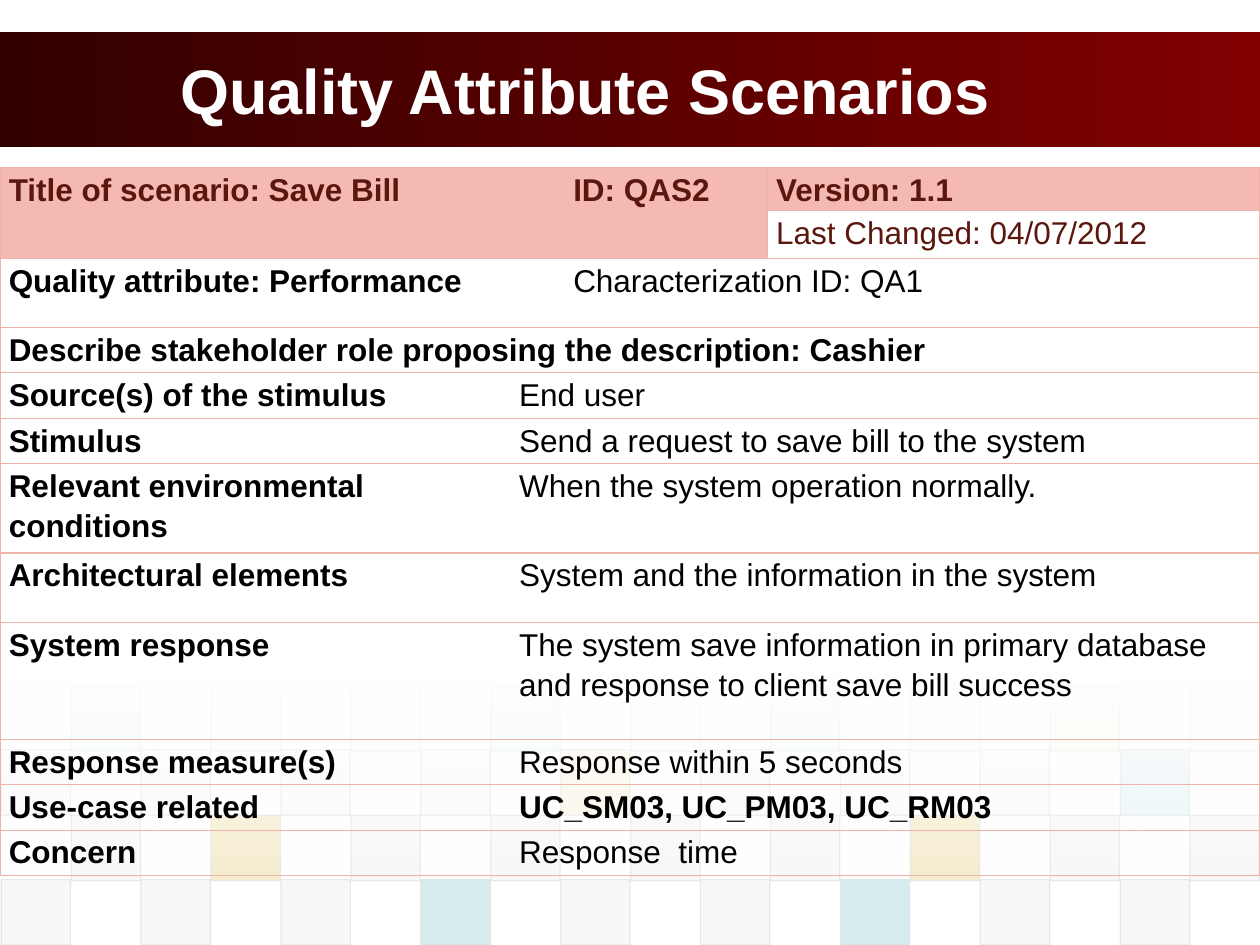
import pptx
import pptx.dml.color
import pptx.enum.shapes
import pptx.enum.text
import pptx.oxml
import pptx.oxml.ns
import pptx.util
from pptx.util import Inches

GREY, PALE, GOLD, TEAL = "DDDDDD", "EAEAEA", "D3A911", "38A3B2"
BORDER, HEADER_FILL, HEADER_TEXT = "EFB3AA", "F4B9B2", "5B170E"


def rgb(code):
    return pptx.dml.color.RGBColor.from_string(code)


def set_alpha(parent, percents):
    """Give each colour below parent its opacity, in order."""
    for colour, percent in zip(parent.iter(pptx.oxml.ns.qn("a:srgbClr")), percents):
        alpha = colour.makeelement(pptx.oxml.ns.qn("a:alpha"), {"val": str(percent * 1000)})
        colour.append(alpha)


deck = pptx.Presentation()
deck.slide_width, deck.slide_height = Inches(10), Inches(7.5)
page = deck.slides.add_slide(deck.slide_layouts[5])
RECTANGLE = pptx.enum.shapes.MSO_SHAPE.RECTANGLE

# Checkered tiles: top, first column, opacity, base colour, accents by column
tile_rows = [
    (5.44, 1, 5, PALE, {1: TEAL, 7: TEAL, 9: GREY, 11: TEAL, 15: GOLD}),
    (5.95, 0, 10, GREY, {8: GOLD, 16: TEAL}),
    (6.47, 1, 20, GREY, {3: GOLD, 13: GOLD}),
    (6.98, 0, 20, GREY, {6: TEAL, 12: TEAL}),
]
for top, first, opacity, base, accents in tile_rows:
    for column in range(first, 18, 2):
        tile = page.shapes.add_shape(RECTANGLE, Inches(0.01 + 0.555 * column), Inches(top),
                                     Inches(0.55), Inches(0.52))
        tile.shadow.inherit = False
        tile.fill.solid()
        tile.fill.fore_color.rgb = rgb(accents.get(column, base))
        tile.line.color.rgb = rgb(GREY)
        tile.line.width = pptx.util.Pt(0.75)
        set_alpha(tile._element.spPr, [opacity, 60])

# Banner, and the white veil that fades the upper tiles
gradients = [
    (0.25, 0.92, 0, ["330000", "800000"], [100, 100]),
    (5.37, 1.62, 270, ["FFFFFF", "FFFFFF"], [90, 0]),
]
for top, height, angle, colours, opacities in gradients:
    band = page.shapes.add_shape(RECTANGLE, 0, Inches(top), Inches(10), Inches(height))
    band.shadow.inherit = False
    band.line.fill.background()
    band.fill.gradient()
    band.fill.gradient_angle = angle
    for stop, position, colour in zip(band.fill.gradient_stops, (0, 1), colours):
        stop.position = position
        stop.color.rgb = rgb(colour)
    set_alpha(band._element.spPr, opacities)

title = page.shapes.title
page.shapes._spTree.append(title._element)  # bring in front of the banner
title.left, title.top = Inches(1.33), Inches(0.25)
title.width, title.height = Inches(8.08), Inches(0.92)
title.text_frame.vertical_anchor = pptx.enum.text.MSO_ANCHOR.MIDDLE
para = title.text_frame.paragraphs[0]
para.alignment = pptx.enum.text.PP_ALIGN.LEFT
span = para.add_run()
span.text = "Quality Attribute Scenarios"
span.font.name, span.font.size, span.font.bold = "Arial", pptx.util.Pt(36), True
span.font.color.rgb = rgb("FFFFFF")

# Scenario table
widths = [4.05, 0.43, 1.61, 3.91]
heights = [0.34, 0.38, 0.55, 0.36, 0.36, 0.36, 0.71, 0.55, 0.93, 0.36, 0.36, 0.36]
table = page.shapes.add_table(len(heights), len(widths), 0, Inches(1.33),
                              Inches(10), Inches(sum(heights))).table
table.first_row = table.horz_banding = False
for column, width in zip(table.columns, widths):
    column.width = Inches(width)
for row, height in zip(table.rows, heights):
    row.height = Inches(height)

# row, column, rows spanned, columns spanned, text, bold
cells = [
    (0, 0, 2, 2, "Title of scenario: Save Bill", True),
    (0, 2, 2, 1, "ID: QAS2", True),
    (0, 3, 1, 1, "Version: 1.1", True),
    (1, 3, 1, 1, "Last Changed: 04/07/2012", False),
    (2, 0, 1, 2, "Quality attribute: Performance", True),
    (2, 2, 1, 2, "Characterization ID: QA1", False),
    (3, 0, 1, 4, "Describe stakeholder role proposing the description: Cashier", True),
]
details = [
    ("Source(s) of the stimulus", "End user"),
    ("Stimulus", "Send a request to save bill to the system"),
    ("Relevant environmental conditions", "When the system operation normally."),
    ("Architectural elements", "System and the information in the system"),
    ("System response", "The system save information in primary database "
                        "and response to client save bill success"),
    ("Response measure(s)", "Response within 5 seconds"),
    ("Use-case related", "UC_SM03, UC_PM03, UC_RM03"),
    ("Concern", "Response  time"),
]
for row, (label, value) in enumerate(details, start=4):
    cells.append((row, 0, 1, 1, label, True))
    cells.append((row, 1, 1, 3, value, label == "Use-case related"))

for row, column, row_span, column_span, text, bold in cells:
    cell = table.cell(row, column)
    if row_span * column_span > 1:
        cell.merge(table.cell(row + row_span - 1, column + column_span - 1))
    cell.margin_left = cell.margin_right = Inches(0.07)
    cell.margin_top = cell.margin_bottom = 0
    para = cell.text_frame.paragraphs[0]
    para.line_spacing = 1.15
    span = para.add_run()
    span.text = text
    span.font.name, span.font.size, span.font.bold = "Arial", pptx.util.Pt(18), bold
    span.font.color.rgb = rgb(HEADER_TEXT if row < 2 else "000000")

    drawn = {"L": column in (0, 3), "R": column + column_span == 4 or (row, column) == (0, 2),
             "T": True, "B": True}
    for side, visible in drawn.items():
        paint = f'<a:solidFill><a:srgbClr val="{BORDER}"/></a:solidFill>' if visible else "<a:noFill/>"
        cell._tc.get_or_add_tcPr().append(pptx.oxml.parse_xml(
            f'<a:ln{side} {pptx.oxml.ns.nsdecls("a")} w="9525">{paint}</a:ln{side}>'))
    if row == 0:
        cell.fill.solid()
        cell.fill.fore_color.rgb = rgb(HEADER_FILL)
    else:
        cell.fill.background()

deck.save("out.pptx")
